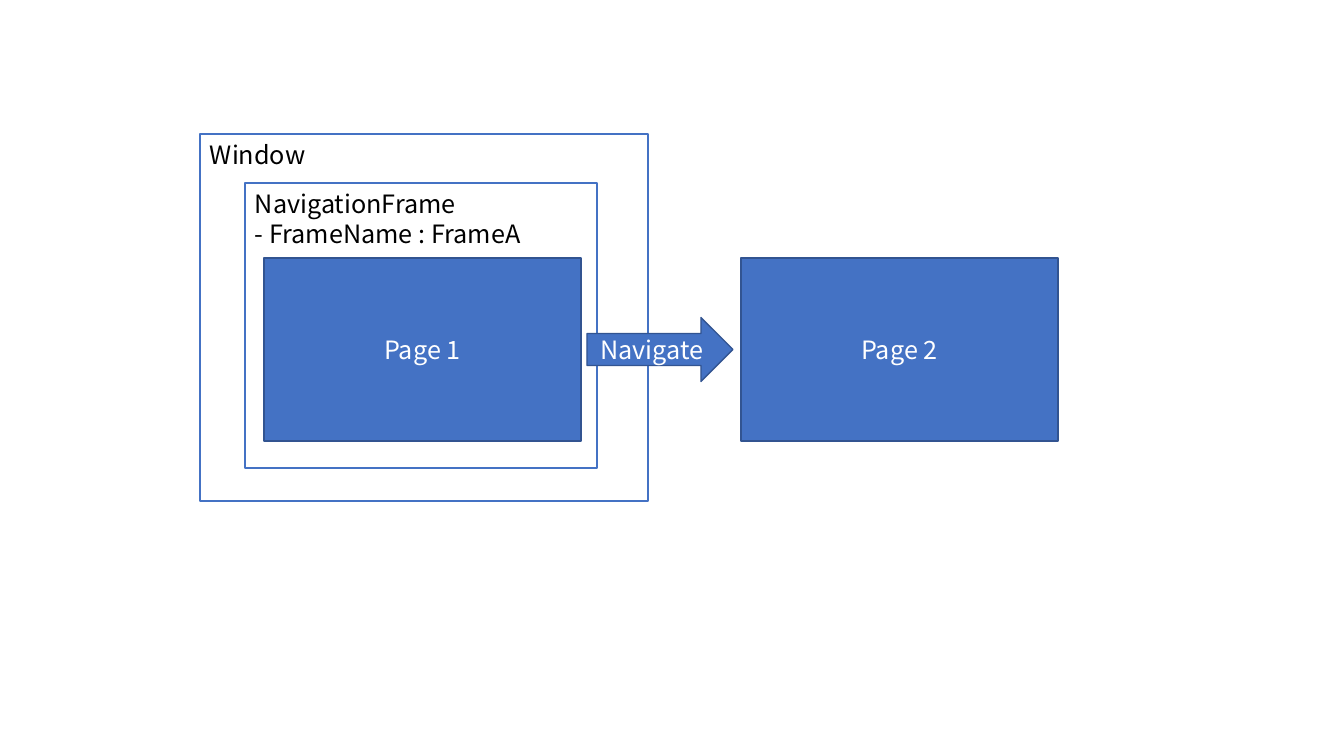
from pptx import Presentation
from pptx.dml.color import RGBColor
from pptx.enum.shapes import MSO_SHAPE as Shape
from pptx.enum.text import MSO_ANCHOR as Anchor, PP_ALIGN as Align
from pptx.util import Pt

PX = 914400 / 100.8
FONT = "Noto Sans CJK JP"
WHITE, BLACK, BLUE, NAVY = "FFFFFF", "000000", "4472C4", "325491"
PAGE = (317, 183)


def emu(px):
    """Turn pixels into EMU."""
    return round(px * PX)


def color(code):
    """Turn a hex string into a colour."""
    return RGBColor.from_string(code)


def block(slide, kind, box, lines, fill, edge, ink, align, anchor):
    """Add one shape with its lines of text."""
    shape = slide.shapes.add_shape(kind, *map(emu, box))
    shape.shadow.inherit = False
    shape.fill.solid()
    shape.fill.fore_color.rgb = color(fill)
    shape.line.color.rgb = color(edge)
    shape.line.width = Pt(1)
    frame = shape.text_frame
    frame.word_wrap = True
    frame.vertical_anchor = anchor
    for i, text in enumerate(lines):
        para = frame.add_paragraph() if i else frame.paragraphs[0]
        para.alignment = align
        run = para.add_run()
        run.text = text
        run.font.name = FONT
        run.font.size = Pt(18)
        run.font.color.rgb = color(ink)


def panel(slide, box, *lines):
    """Add a white container labelled at its top left."""
    block(slide, Shape.RECTANGLE, box, lines, WHITE, BLUE, BLACK,
          Align.LEFT, Anchor.TOP)


def solid(slide, kind, box, label):
    """Add a blue shape with a centred label."""
    block(slide, kind, box, [label], BLUE, NAVY, WHITE,
          Align.CENTER, Anchor.MIDDLE)


def window(slide, x, y, w, h):
    """Draw the window, its navigation frame and the first page."""
    panel(slide, (x, y, w, h), "Window")
    panel(slide, (x + 45, y + 49, w - 96, h - 82),
          "NavigationFrame", "- FrameName : FrameA")
    solid(slide, Shape.RECTANGLE, (x + 64, y + 124, *PAGE), "Page 1")


def target(slide, x, y, w, h):
    """Draw the second page and the arrow that leads to it."""
    solid(slide, Shape.RECTANGLE, (x, y, w, h), "Page 2")
    wide, high = 146, 64
    solid(slide, Shape.RIGHT_ARROW,
          (x - 8 - wide, y + (h - high) / 2, wide, high), "Navigate")


def main():
    """Build and save the slide."""
    deck = Presentation()
    deck.slide_width, deck.slide_height = emu(1344), emu(756)
    slide = deck.slides.add_slide(deck.slide_layouts[6])
    window(slide, 200, 134, 448, 367)
    target(slide, 741, 258, *PAGE)
    deck.save("out.pptx")


main()
